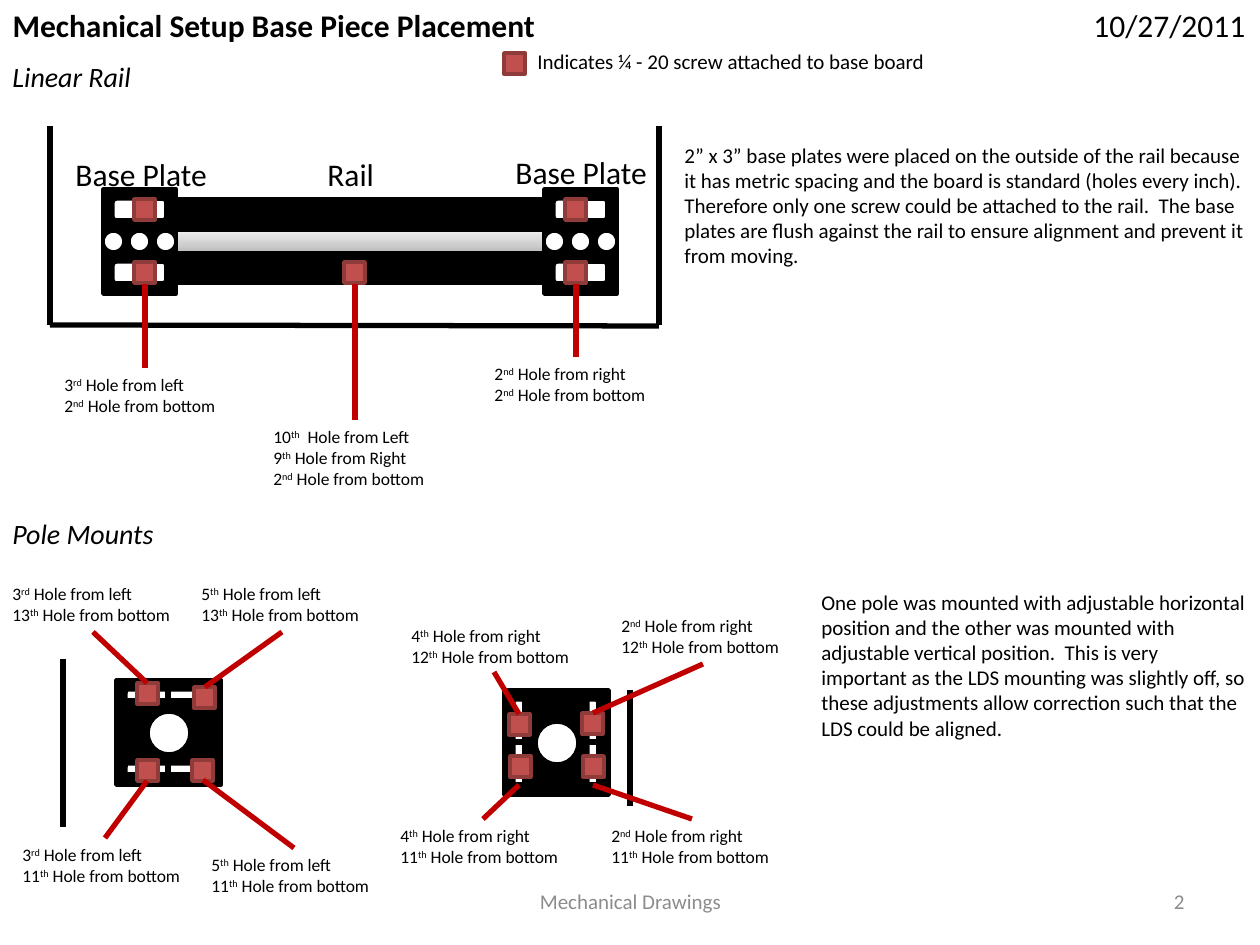
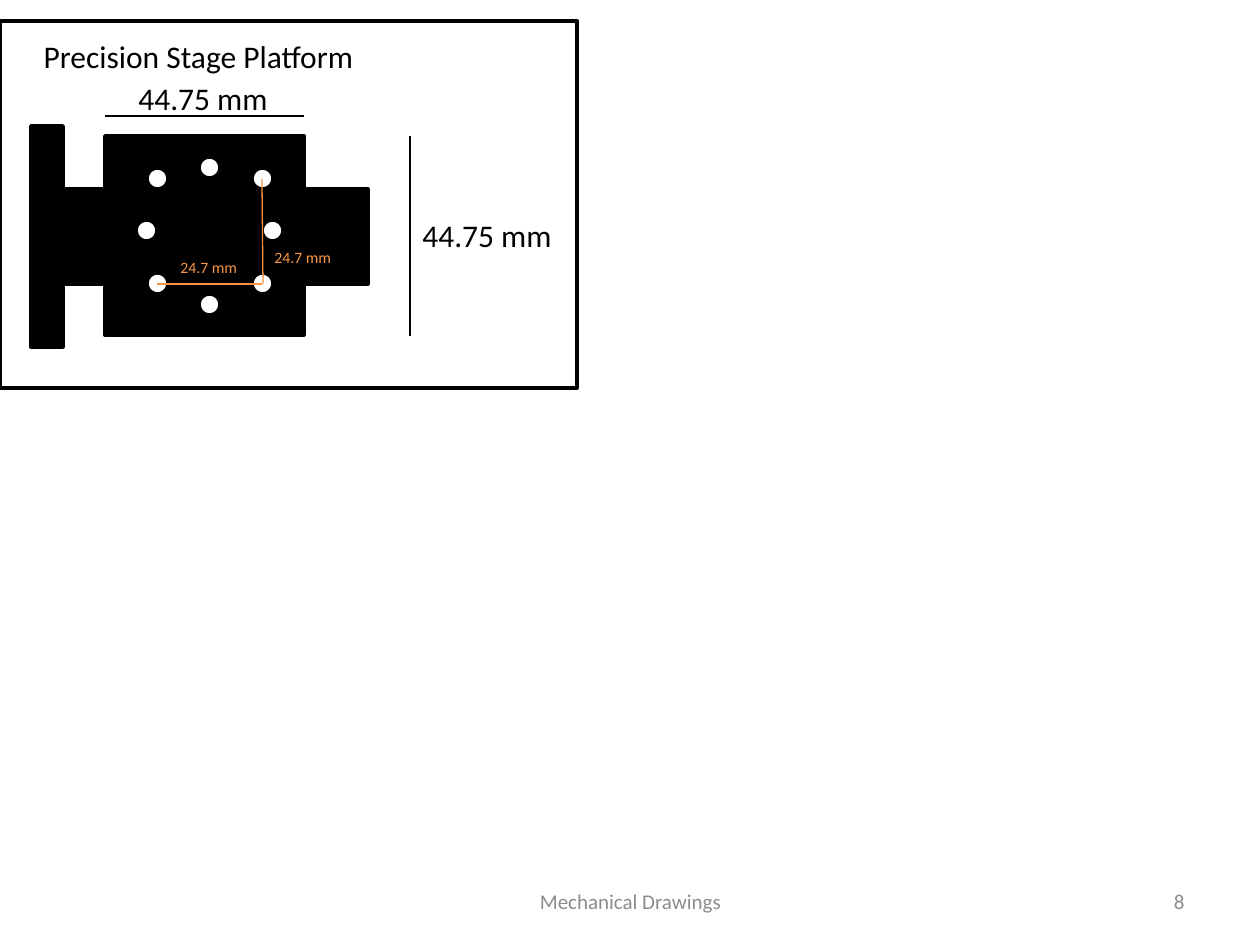
from itertools import product
from lxml import etree
from pptx import Presentation
from pptx import util as u
from pptx.dml.color import RGBColor
from pptx.enum import shapes, text
from pptx.oxml.ns import qn

PIXEL = u.Inches(1) / 126
FONT = "Calibri"
BLACK = RGBColor(0, 0, 0)
WHITE = RGBColor(255, 255, 255)
GREY = RGBColor(0x8C, 0x8C, 0x8C)
SCREW_FILL = RGBColor(0xC0, 0x50, 0x4D)
SCREW_EDGE = RGBColor(0x8E, 0x3B, 0x39)
LEADER = RGBColor(0xC0, 0, 0)
ORANGE = RGBColor(0xF7, 0x96, 0x46)
ORANGE_LINE = RGBColor(0xF6, 0x92, 0x40)
RAIL_DARK = RGBColor(0xBD, 0xBD, 0xBD)
RAIL_LIGHT = RGBColor(0xEE, 0xEE, 0xEE)
RECT = shapes.MSO_SHAPE.RECTANGLE
ROUND = shapes.MSO_SHAPE.ROUNDED_RECTANGLE
OVAL = shapes.MSO_SHAPE.OVAL
HOLE = 21  # side of screws and small holes

# Content: ^ marks the start and end of superscript
FOOTER = "Mechanical Drawings"
HEADINGS = [("Linear Rail", (0, 53, 147, 47)), ("Pole Mounts", (0, 510, 170, 47))]
NOTES = [
    ("2” x 3” base plates were placed on the outside of the rail because it has metric "
     "spacing and the board is standard (holes every inch).  Therefore only one screw could "
     "be attached to the rail.  The base plates are flush against the rail to ensure "
     "alignment and prevent it from moving.", (672, 136, 588, 140)),
    ("One pole was mounted with adjustable horizontal position and the other was mounted "
     "with adjustable vertical position.  This is very important as the LDS mounting was "
     "slightly off, so these adjustments allow correction such that the LDS could be "
     "aligned.", (809, 583, 451, 165)),
    ("Indicates ¼ - 20 screw attached to base board", (525, 42, 441, 38)),
]
LARGE_LABELS = [
    ("Rail", (315, 149, 73, 50)),
    ("Base Plate", (63, 149, 159, 50)),
    ("Base Plate", (503, 147, 159, 50)),
    ("10/27/2011", (1081, 0, 181, 50)),
]
# Each callout: lines, label box, leader start, leader end
CALLOUTS = [
    (["3^rd^ Hole from left", "2^nd^ Hole from bottom"],
     (52, 368, 180, 55), (145, 368), (145, 284)),
    (["2^nd^ Hole from right", "2^nd^ Hole from bottom"],
     (482, 357, 183, 55), (576, 357), (576, 284)),
    (["10^th^  Hole from Left", "9^th^ Hole from Right", "2^nd^ Hole from bottom"],
     (261, 420, 180, 77), (355, 420), (355, 284)),
    (["3^rd^ Hole from left", "13^th^ Hole from bottom"],
     (0, 577, 188, 55), (93, 632), (147, 683)),
    (["5^th^ Hole from left", "13^th^ Hole from bottom"],
     (189, 577, 188, 55), (282, 632), (205, 687)),
    (["3^rd^ Hole from left", "11^th^ Hole from bottom"],
     (10, 838, 188, 55), (105, 838), (147, 781)),
    (["5^th^ Hole from left", "11^th^ Hole from bottom"],
     (199, 848, 188, 55), (294, 848), (203, 780)),
    (["4^th^ Hole from right", "12^th^ Hole from bottom"],
     (399, 619, 188, 55), (494, 672), (519, 714)),
    (["2^nd^ Hole from right", "12^th^ Hole from bottom"],
     (609, 609, 188, 55), (703, 664), (593, 713)),
    (["4^th^ Hole from right", "11^th^ Hole from bottom"],
     (388, 819, 188, 55), (483, 819), (519, 785)),
    (["2^nd^ Hole from right", "11^th^ Hole from bottom"],
     (599, 819, 188, 55), (692, 819), (593, 785)),
]
SCREWS = [
    (504, 53),  # legend
    (134, 199), (134, 262), (565, 199), (565, 262), (344, 262),  # rail
    (137, 683), (194, 687), (137, 760), (192, 760),  # left pole mount
    (509, 714), (582, 713), (510, 756), (583, 756),  # right pole mount
]
BOARD_EDGES = [
    ((50, 126), (50, 325)), ((659, 126), (659, 325)), ((50, 325), (659, 326)),
    ((63, 659), (63, 827)), ((630, 690), (630, 806)),
]
STAGE_BODY = [(63, 189, 305, 95), (31, 126, 32, 221), (105, 136, 199, 199)]
STAGE_HOLES = [*product((147, 252), (168, 273)),
               (199, 157), (199, 294), (136, 220), (262, 220)]
STAGE_DIMENSIONS = [
    ((410, 136), (410, 336), BLACK), ((105, 116), (304, 116), BLACK),
    ((157, 284), (262, 284), ORANGE_LINE), ((262, 179), (263, 284), ORANGE_LINE),
]
STAGE_LABELS = [
    ("44.75 mm", (410, 210, 156, 50), 18, BLACK),
    ("44.75 mm", (126, 73, 156, 50), 18, BLACK),
    ("24.7 mm", (168, 252, 82, 32), 9, ORANGE),
    ("24.7 mm", (262, 242, 82, 32), 9, ORANGE),
]


def emu(*pixels):
    return [round(value * PIXEL) for value in pixels]


def write(shape, lines, size, color=BLACK, wrap=False, bold=False, italic=False,
          align=text.PP_ALIGN.LEFT, anchor=text.MSO_ANCHOR.TOP):
    frame = shape.text_frame
    frame.word_wrap = wrap
    frame.auto_size = text.MSO_AUTO_SIZE.NONE
    frame.vertical_anchor = anchor
    for index, line in enumerate(lines):
        paragraph = frame.add_paragraph() if index else frame.paragraphs[0]
        paragraph.alignment = align
        for part, words in enumerate(line.split("^")):
            run = paragraph.add_run()
            run.text = words
            font = run.font
            font.name, font.size, font.color.rgb = FONT, u.Pt(size), color
            font.bold, font.italic = bold, italic
            if part % 2:
                run._r.get_or_add_rPr().set("baseline", "30000")


def add_text(slide, lines, box, size, **style):
    write(slide.shapes.add_textbox(*emu(*box)), lines, size, **style)


def add_block(slide, kind, box, fill=BLACK, edge=BLACK, width=2):
    shape = slide.shapes.add_shape(kind, *emu(*box))
    shape.shadow.inherit = False
    if fill is None:
        shape.fill.background()
    else:
        shape.fill.solid()
        shape.fill.fore_color.rgb = fill
    shape.line.color.rgb = edge
    shape.line.width = u.Pt(width)
    return shape


def add_line(slide, start, end, color=BLACK, width=3):
    line = slide.shapes.add_connector(shapes.MSO_CONNECTOR.STRAIGHT, *emu(*start, *end))
    line.line.color.rgb = color
    line.line.width = u.Pt(width)
    etree.SubElement(line._element.spPr, qn("a:effectLst"))


def add_slide(title, box, number, bold=False):
    slide = presentation.slides.add_slide(presentation.slide_layouts[5])
    heading = slide.shapes.title
    heading.left, heading.top, heading.width, heading.height = emu(*box)
    write(heading, [title], 18, bold=bold)
    for words, place, align in ((str(number), (903, 876, 294, 50), text.PP_ALIGN.RIGHT),
                                (FOOTER, (431, 876, 399, 50), text.PP_ALIGN.CENTER)):
        add_text(slide, [words], place, 12, color=GREY, wrap=True, align=align,
                 anchor=text.MSO_ANCHOR.MIDDLE)
    return slide


def add_base_plate(slide, left, top=189):
    add_block(slide, RECT, (left, top, 73, 105))
    for offset in (10, 73):
        add_block(slide, ROUND, (left + 10, top + offset, 53, HOLE), WHITE)
    for column in range(3):
        add_block(slide, OVAL, (left + 26 * column, top + 42, HOLE, HOLE), WHITE)


def add_pole_mount(slide, left, top, vertical):
    add_block(slide, RECT, (left, top, 105, 105))
    add_block(slide, OVAL, (left + 32, top + 32, 42, 42), WHITE)
    turn = -1 if vertical else 1  # swaps x and y for the vertical mount
    for offset in (10, 84):
        x, y = (10, offset)[::turn]
        width, height = (84, 10)[::turn]
        add_block(slide, ROUND, (left + x, top + y, width, height), WHITE)
        ends = [(52, offset)[::turn], (52, offset + 21)[::turn]]
        add_line(slide, *[(left + x, top + y) for x, y in ends])


presentation = Presentation()
presentation.slide_width, presentation.slide_height = u.Inches(10), u.Inches(7.5)

# Base piece placement
slide = add_slide("Mechanical Setup Base Piece Placement", (0, 0, 552, 50), 2, bold=True)
for words, box in HEADINGS:
    add_text(slide, [words], box, 16, italic=True)
for words, box in NOTES:
    add_text(slide, [words], box, 12, wrap=True)

# Rail, plates and pole mounts
for start, end in BOARD_EDGES:
    add_line(slide, start, end)
add_block(slide, RECT, (176, 199, 368, 84))
groove = add_block(slide, RECT, (176, 231, 368, HOLE), width=0.75)
groove.fill.gradient()
groove.fill.gradient_angle = 90
for stop, color in zip(groove.fill.gradient_stops, (RAIL_DARK, RAIL_LIGHT)):
    stop.color.rgb = color
for left in (103, 544):
    add_base_plate(slide, left)
add_pole_mount(slide, 116, 680, vertical=False)
add_pole_mount(slide, 504, 690, vertical=True)

# Screws and callouts
for left, top in SCREWS:
    add_block(slide, RECT, (left, top, HOLE, HOLE), SCREW_FILL, SCREW_EDGE)
for lines, box, start, end in CALLOUTS:
    add_line(slide, start, end, LEADER)
    add_text(slide, lines, box, 10)
for words, box in LARGE_LABELS:
    add_text(slide, [words], box, 18)

# Precision stage platform
slide = add_slide("Precision Stage Platform", (31, 31, 339, 50), 8)
for box in STAGE_BODY:
    add_block(slide, RECT, box)
for left, top in STAGE_HOLES:
    add_block(slide, OVAL, (left, top, HOLE, HOLE), WHITE)
for start, end, color in STAGE_DIMENSIONS:
    add_line(slide, start, end, color, 0.75)
for words, box, size, color in STAGE_LABELS:
    add_text(slide, [words], box, size, color=color)
add_block(slide, RECT, (0, 21, 577, 367), fill=None)

presentation.save("out.pptx")
